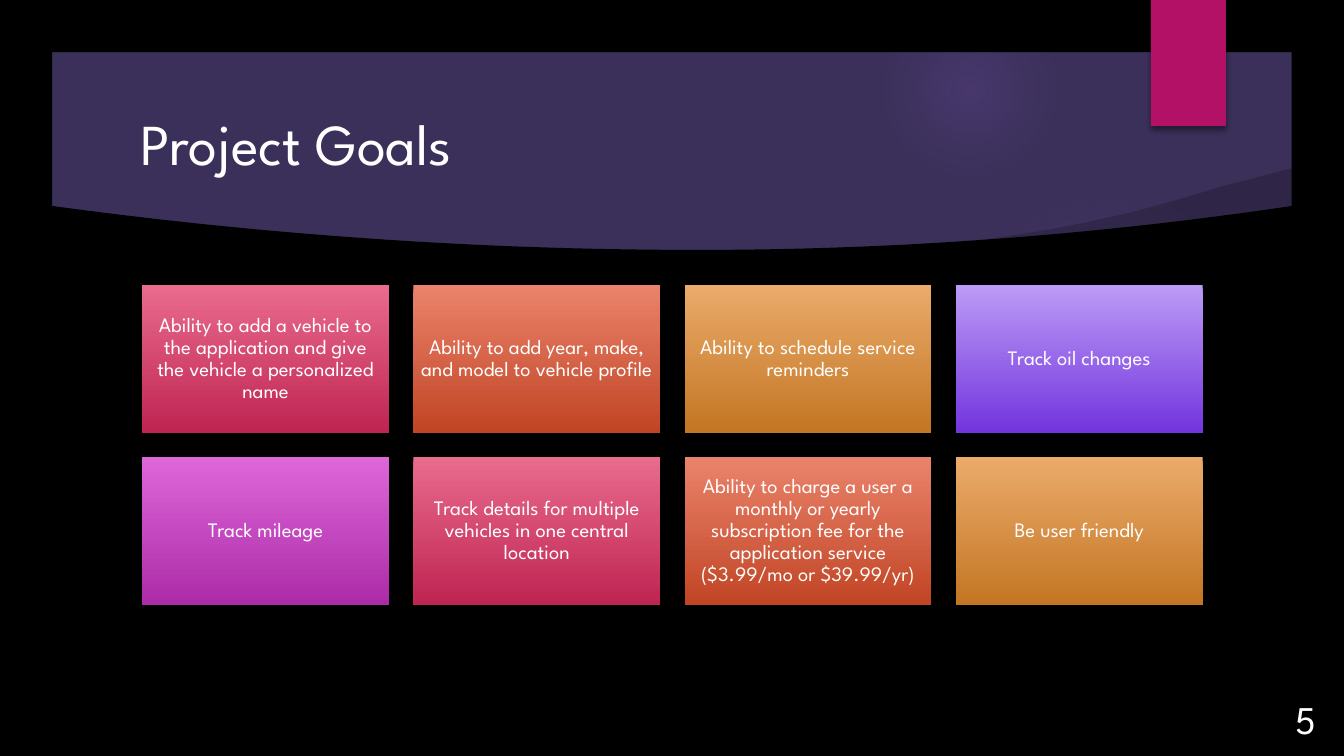
from lxml.etree import SubElement
from pptx import Presentation
from pptx.dml.color import RGBColor
from pptx.enum.shapes import MSO_SHAPE as Shape
from pptx.enum.text import MSO_ANCHOR as Anchor, PP_ALIGN as Align
from pptx.oxml.ns import qn
from pptx.util import Pt

TITLE = "Project Goals"
PAGE_NUMBER = "5"
GOALS = [
    ("Ability to add a vehicle to the application and give the vehicle a personalized name", "pink"),
    ("Ability to add year, make, and model to vehicle profile", "red"),
    ("Ability to schedule service reminders", "orange"),
    ("Track oil changes", "violet"),
    ("Track mileage", "magenta"),
    ("Track details for multiple vehicles in one central location", "pink"),
    ("Ability to charge a user a monthly or yearly subscription fee for the "
     "application service ($3.99/mo or $39.99/yr)", "red"),
    ("Be user friendly", "orange"),
]

THEME = {
    "font": "League Spartan",
    "title_size": 31, "goal_size": 11, "page_size": 21,
    "text": "FFFFFF", "banner": "3B3059", "dark": "000000",
    "ribbon": "B31166", "glow": "9B6BF2",
    "pink": ("E96B8D", "BF2552"),
    "red": ("EA836B", "C14525"),
    "orange": ("EBAB6B", "C37623"),
    "violet": ("BC9BF6", "7335DE"),
    "magenta": ("DD66D9", "AC2CA7"),
}

WIDTH, HEIGHT, MARGIN = 720, 405, 28
COLUMNS, GRID_LEFT, GRID_TOP = 4, 76.2, 152.7
CARD_WIDTH, CARD_HEIGHT, GAP = 132.2, 79.1, 13.1

# left, top, diameter, then (position %, opacity %) from the centre out
GLOWS = [
    (508.5, 99, 166.5, [(0, 6), (36, 5), (69, 0), (100, 0)]),
    (472.5, 0.75, 94.5, [(0, 13), (36, 6), (73, 0), (100, 0)]),
]
SWOOSH = [
    (501.8, 131), (528.5, 128.2), (557, 123.9), (580.3, 119.5), (604.8, 114.1),
    (630, 107.3), (654.5, 99.9), (692.6, 90), (696.2, 115.2), (605, 128.2), (504.7, 134.6),
]
CURVE_MIDDLE, CURVE_LOW, CURVE_EDGE = 374, 133.9, 110.2


def paint(shape, color):
    shape.shadow.inherit = False
    shape.line.fill.background()
    shape.fill.solid()
    shape.fill.fore_color.rgb = RGBColor.from_string(color)
    return shape


def add_shape(slide, kind, left, top, width, height, color):
    shape = slide.shapes.add_shape(kind, Pt(left), Pt(top), Pt(width), Pt(height))
    return paint(shape, color)


def add_outline(slide, points, color):
    corners = [(Pt(x), Pt(y)) for x, y in points]
    builder = slide.shapes.build_freeform(*corners[0])
    builder.add_line_segments(corners[1:], close=True)
    return paint(builder.convert_to_shape(), color)


def write(box, text, size, align=Align.LEFT, inset=(7.2, 3.6), spacing=0.9):
    frame = box.text_frame
    frame.word_wrap = True
    frame.vertical_anchor = Anchor.MIDDLE
    frame.margin_left = frame.margin_right = Pt(inset[0])
    frame.margin_top = frame.margin_bottom = Pt(inset[1])
    para = frame.paragraphs[0]
    para.alignment = align
    para.line_spacing = spacing
    span = para.add_run()
    span.text = text
    span.font.name = THEME["font"]
    span.font.size = Pt(size)
    span.font.color.rgb = RGBColor.from_string(THEME["text"])


def add_text(slide, left, top, width, height, text, size, **style):
    box = slide.shapes.add_textbox(Pt(left), Pt(top), Pt(width), Pt(height))
    write(box, text, size, **style)


def add_color(parent, color, opacity):
    node = SubElement(parent, qn("a:srgbClr"), val=color)
    SubElement(node, qn("a:alpha"), val=str(opacity * 1000))


def add_glow(slide, left, top, diameter, stops):
    """Draw a circle whose colour fades out from its centre."""
    glow = add_shape(slide, Shape.OVAL, left, top, diameter, diameter, THEME["glow"])
    glow.fill.gradient()
    gradient = glow.element.spPr.find(qn("a:gradFill"))
    for child in list(gradient):
        gradient.remove(child)
    stop_list = SubElement(gradient, qn("a:gsLst"))
    for position, opacity in stops:
        stop = SubElement(stop_list, qn("a:gs"), pos=str(position * 1000))
        add_color(stop, THEME["glow"], opacity)
    circle = SubElement(gradient, qn("a:path"), path="circle")
    SubElement(circle, qn("a:fillToRect"), l="50000", t="50000", r="50000", b="50000")


def add_shadow(shape):
    effects = shape.element.spPr.find(qn("a:effectLst"))
    shadow = SubElement(effects, qn("a:outerShdw"), blurRad=str(Pt(3)),
                        dist=str(Pt(2)), dir="5400000", rotWithShape="0")
    add_color(shadow, THEME["dark"], 44)


def banner_edge(steps=48):
    """Points of the banner's lower edge, two half parabolas that meet at the lowest point."""
    left, right = MARGIN - 1, WIDTH - MARGIN + 1
    for step in range(steps + 1):
        x = left + (right - left) * step / steps
        half = CURVE_MIDDLE - left if x < CURVE_MIDDLE else right - CURVE_MIDDLE
        yield x, CURVE_LOW - (CURVE_LOW - CURVE_EDGE) * ((x - CURVE_MIDDLE) / half) ** 2


def add_backdrop(slide):
    background = slide.background.fill
    background.solid()
    background.fore_color.rgb = RGBColor.from_string(THEME["banner"])
    for glow in GLOWS:
        add_glow(slide, *glow)
    swoosh = add_outline(slide, SWOOSH, THEME["dark"])
    color = swoosh.element.spPr.find(qn("a:solidFill"))[0]
    SubElement(color, qn("a:alpha"), val="20000")
    bottom = HEIGHT - MARGIN + 1
    lower_corners = [(WIDTH - MARGIN + 1, bottom), (MARGIN - 1, bottom)]
    add_outline(slide, [*banner_edge(), *lower_corners], THEME["dark"])
    border = add_shape(slide, Shape.FRAME, 0, 0, WIDTH, HEIGHT, THEME["dark"])
    border.adjustments[0] = MARGIN / HEIGHT
    add_shadow(add_shape(slide, Shape.RECTANGLE, 616.5, 0, 40.3, 67.5, THEME["ribbon"]))


def add_goals(slide):
    for index, (goal, tone) in enumerate(GOALS):
        row, column = divmod(index, COLUMNS)
        left = GRID_LEFT + column * (CARD_WIDTH + GAP)
        top = GRID_TOP + row * (CARD_HEIGHT + GAP)
        card = add_shape(slide, Shape.RECTANGLE, left, top, CARD_WIDTH, CARD_HEIGHT, THEME[tone][0])
        card.fill.gradient()
        card.fill.gradient_angle = 270
        for stop, color in zip(card.fill.gradient_stops, THEME[tone]):
            stop.color.rgb = RGBColor.from_string(color)
        write(card, goal, THEME["goal_size"], align=Align.CENTER, inset=(3.6, 3.6))


def main():
    deck = Presentation()
    deck.slide_width, deck.slide_height = Pt(WIDTH), Pt(HEIGHT)
    slide = deck.slides.add_slide(deck.slide_layouts[6])
    add_backdrop(slide)
    add_text(slide, 68.4, 57.6, 517.7, 41.8, TITLE, THEME["title_size"])
    add_goals(slide)
    add_text(slide, 668.9, 369.4, 43.2, 31, PAGE_NUMBER, THEME["page_size"],
             align=Align.RIGHT, inset=(7.2, 7.2), spacing=1.0)
    deck.save("out.pptx")


if __name__ == "__main__":
    main()
